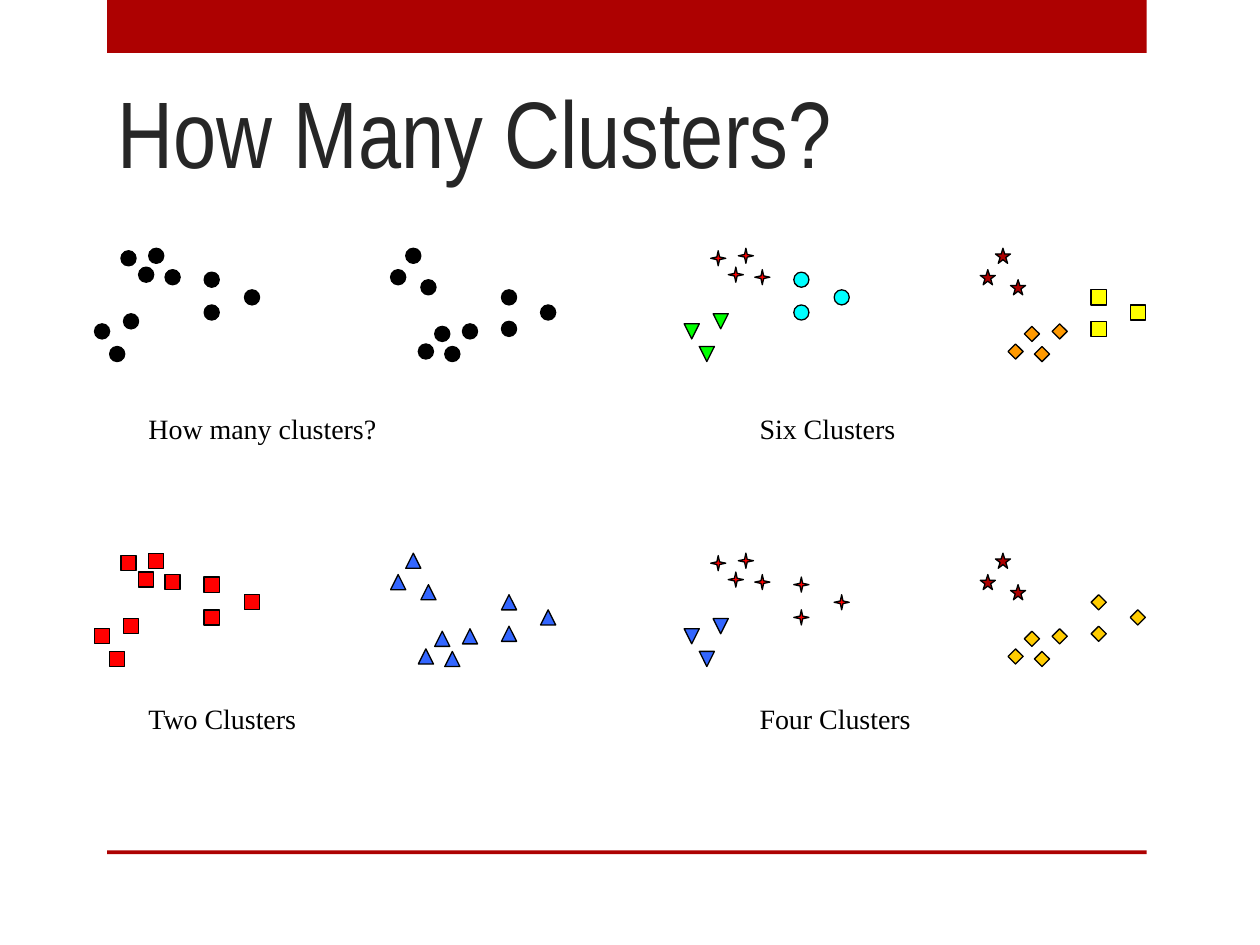
from pptx import Presentation, util as u
from pptx.dml import color
from pptx.enum import shapes, text
from pptx.oxml import ns

Kind = shapes.MSO_SHAPE
DOT = (Kind.OVAL, "000000")
BOX = (Kind.RECTANGLE, "FF0000")
PEAK = (Kind.ISOSCELES_TRIANGLE, "3366FF")
SPARK = (Kind.STAR_4_POINT, "FF0000")
STAR = (Kind.STAR_5_POINT, "AD0101")
GOLD = (Kind.DIAMOND, "FFCC00")
SIZE = 0.12

BARS = [(0.85, 0, 8.25, 0.42), (0.85, 6.75, 8.25, 0.03)]

CLUMPS = [
    [(2.92, 0.6), (2.57, 0.76), (2.78, 0.78), (2.7, 0.62)],
    [(2.59, 0.25), (2.35, 0.17), (2.47, 0)],
    [(3.23, 0.58), (3.54, 0.45), (3.23, 0.33)],
    [(0.56, 0.17), (0.21, 0.02), (0.43, 0), (0.35, 0.15)],
    [(0.23, 0.52), (0, 0.6), (0.12, 0.78)],
    [(0.87, 0.19), (1.19, 0.33), (0.87, 0.45)],
]
FLIPPED = CLUMPS[3:]

LEFT, RIGHT = (0.75, 1.08), (5.43, 5.93)
TOP, LOW = (1.97, 3.22), (4.39, 5.52)

PANELS = [
    ("How many clusters?", LEFT, TOP, [DOT] * 6),
    ("Four Clusters", RIGHT, LOW,
     [GOLD, STAR, GOLD, SPARK, (Kind.FLOWCHART_EXTRACT, "3366FF"), SPARK]),
    ("Two Clusters", LEFT, LOW, [PEAK] * 3 + [BOX] * 3),
    ("Six Clusters", RIGHT, TOP,
     [(Kind.DIAMOND, "FF9900"), STAR, (Kind.RECTANGLE, "FFFF00"), SPARK,
      (Kind.ISOSCELES_TRIANGLE, "00FF00"), (Kind.OVAL, "00FFFF")]),
]

HEAD = {"name": "Arial Narrow", "size": u.Pt(54), "bold": False}
LABEL = {"name": "Times New Roman", "size": u.Pt(16)}


def paint(part, shade):
    part.rgb = color.RGBColor.from_string(shade)


def inches(*vals):
    return [u.Inches(v) for v in vals]


def style(frame, words, form, shade):
    frame.text = words
    frame.word_wrap = True
    para = frame.paragraphs[0]
    para.alignment = text.PP_ALIGN.LEFT
    font = para.runs[0].font
    for key, val in form.items():
        setattr(font, key, val)
    paint(font.color, shade)


def add_mark(home, kind, box, shade, edge=None):
    mark = home.add_shape(kind, *inches(*box))
    mark.shadow.inherit = False
    mark.fill.solid()
    paint(mark.fill.fore_color, shade)
    if edge:
        mark.line.width = u.Pt(0.75)
        paint(mark.line.color, edge)
    else:
        mark.line.fill.background()
    return mark


def add_panel(slide, words, col, row, marks):
    home = slide.shapes.add_group_shape().shapes
    for clump, (kind, shade) in zip(CLUMPS, marks):
        for x, y in clump:
            box = (col[0] + x, row[0] + y, SIZE, SIZE)
            mark = add_mark(home, kind, box, shade, "000000")
            if kind == Kind.STAR_4_POINT:
                mark.adjustments[0] = 0.125
            if clump in FLIPPED:
                mark._element.spPr.find(ns.qn("a:xfrm")).set("flipV", "1")
    label = home.add_textbox(*inches(col[1], row[1], 2.5, 0.37))
    style(label.text_frame, words, LABEL, "000000")


def main():
    deck = Presentation()
    deck.slide_width, deck.slide_height = inches(10, 7.5)
    slide = deck.slides.add_slide(deck.slide_layouts[5])
    for bar in BARS:
        add_mark(slide.shapes, Kind.RECTANGLE, bar, "AD0101")
    title = slide.shapes.title
    title.left, title.top, title.width, title.height = inches(0.83, 0.41, 7.42, 1.13)
    style(title.text_frame, "How Many Clusters?", HEAD, "262626")
    title.text_frame.auto_size = text.MSO_AUTO_SIZE.NONE
    title.text_frame.vertical_anchor = text.MSO_ANCHOR.BOTTOM
    for panel in PANELS:
        add_panel(slide, *panel)
    deck.save("out.pptx")


if __name__ == "__main__":
    main()
